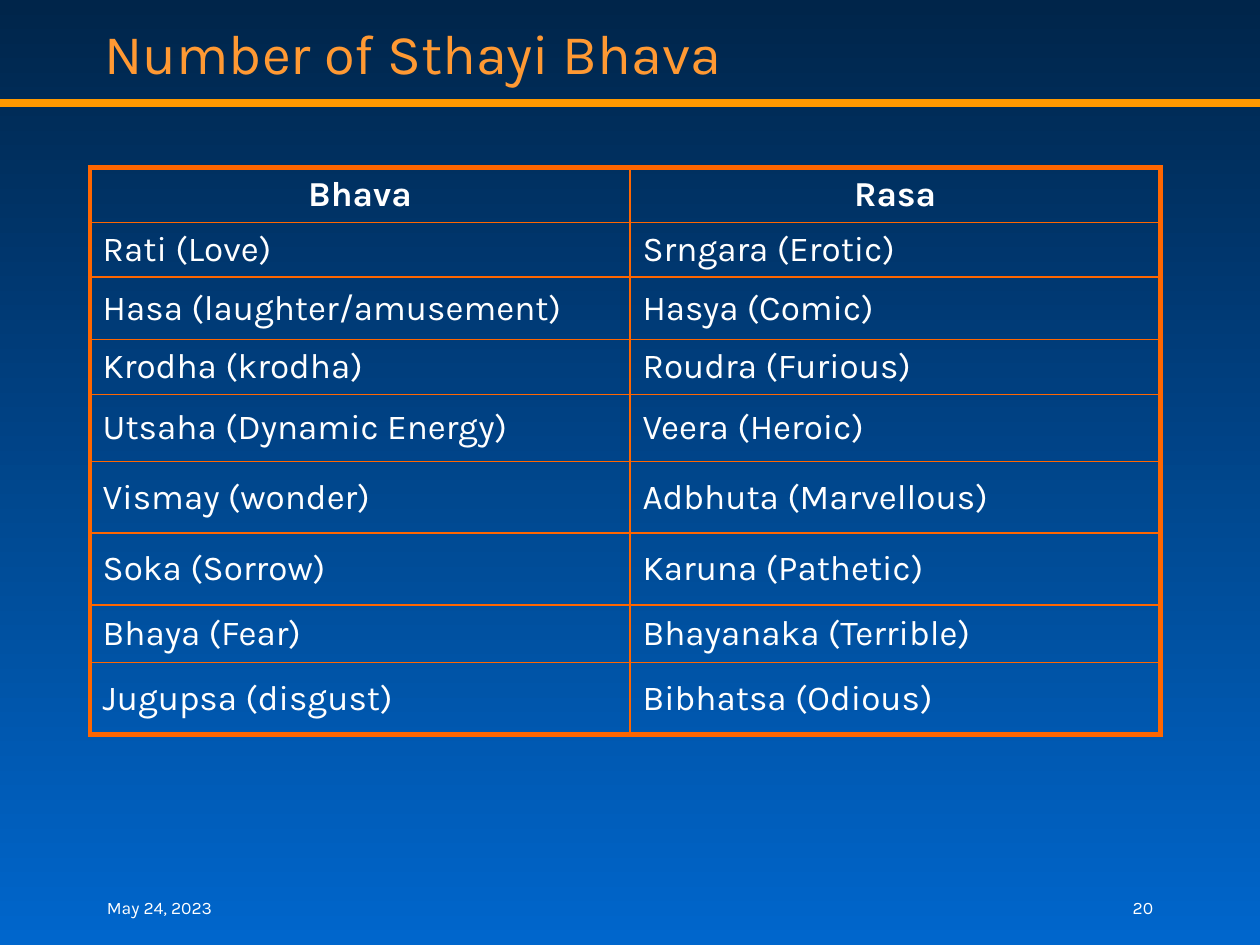
from dataclasses import dataclass

from lxml import etree
from pptx import Presentation, util as u
from pptx.dml.color import RGBColor
from pptx.enum import shapes, text
from pptx.oxml import ns


@dataclass(frozen=True)
class Theme:
    font: str = "Karla"
    top: str = "00254A"
    bottom: str = "0066CC"
    title: str = "FF9933"
    rule: str = "FF9900"
    border: str = "FF6600"
    body: str = "FFFFFF"
    title_size: int = 32
    table_size: int = 20
    footer_size: int = 10
    rule_width: float = 4.5
    outer_width: int = 3
    inner_width: int = 1


def write(frame, words, *, font, size, color, bold=False,
          align=text.PP_ALIGN.LEFT):
    """Put one formatted paragraph into a text frame."""
    frame.word_wrap = True
    paragraph = frame.paragraphs[0]
    paragraph.alignment = align
    run = paragraph.add_run()
    run.text = words
    run.font.name = font
    run.font.size = u.Pt(size)
    run.font.bold = bold
    run.font.color.rgb = RGBColor.from_string(color)


class SlideBuilder:
    """Holds the theme and slide; lengths are percentages of the slide."""

    def __init__(self, presentation, theme):
        self.theme = theme
        self.width = presentation.slide_width
        self.height = presentation.slide_height
        self.slide = presentation.slides.add_slide(presentation.slide_layouts[6])

    def x(self, share):
        return round(self.width * share / 100)

    def y(self, share):
        return round(self.height * share / 100)

    def background(self):
        fill = self.slide.background.fill
        fill.gradient()
        fill.gradient_angle = 270
        colors = (self.theme.top, self.theme.bottom)
        for position, (stop, color) in enumerate(zip(fill.gradient_stops, colors)):
            stop.position = position
            stop.color.rgb = RGBColor.from_string(color)

    def rule(self, top):
        line = self.slide.shapes.add_connector(
            shapes.MSO_CONNECTOR.STRAIGHT, 0, self.y(top), self.width, self.y(top))
        line.line.color.rgb = RGBColor.from_string(self.theme.rule)
        line.line.width = u.Pt(self.theme.rule_width)
        etree.SubElement(line._element.spPr, ns.qn("a:effectLst"))

    def label(self, words, left, top, width, height, anchor, **style):
        box = self.slide.shapes.add_textbox(
            self.x(left), self.y(top), self.x(width), self.y(height))
        box.text_frame.vertical_anchor = anchor
        write(box.text_frame, words, font=self.theme.font, **style)

    def border(self, cell, widths):
        """Draw the left, right, top and bottom edges of a cell."""
        properties = cell._tc.get_or_add_tcPr()
        for index, (side, width) in enumerate(zip("LRTB", widths)):
            edge = etree.Element(ns.qn(f"a:ln{side}"), w=str(u.Pt(width)))
            fill = etree.SubElement(edge, ns.qn("a:solidFill"))
            etree.SubElement(fill, ns.qn("a:srgbClr"), val=self.theme.border)
            properties.insert(index, edge)

    def table(self, rows, left, top, column_widths, row_heights):
        theme = self.theme
        table = self.slide.shapes.add_table(
            len(rows), len(column_widths), self.x(left), self.y(top),
            self.x(sum(column_widths)), self.y(sum(row_heights))).table
        table.first_row = table.horz_banding = False
        for column, width in zip(table.columns, column_widths):
            column.width = self.x(width)
        for row, height in zip(table.rows, row_heights):
            row.height = self.y(height)

        last_row, last_column = len(rows) - 1, len(column_widths) - 1
        for i, row in enumerate(rows):
            for j, words in enumerate(row):
                cell = table.cell(i, j)
                cell.fill.background()
                cell.vertical_anchor = text.MSO_ANCHOR.MIDDLE
                outer = (j == 0, j == last_column, i == 0, i == last_row)
                self.border(cell, [theme.outer_width if edge else theme.inner_width
                                   for edge in outer])
                header = i == 0
                write(cell.text_frame, words, font=theme.font,
                      size=theme.table_size, color=theme.body, bold=header,
                      align=text.PP_ALIGN.CENTER if header else text.PP_ALIGN.LEFT)


ROWS = [
    ("Bhava", "Rasa"),
    ("Rati (Love)", "Srngara (Erotic)"),
    ("Hasa (laughter/amusement)", "Hasya (Comic)"),
    ("Krodha (krodha)", "Roudra (Furious)"),
    ("Utsaha (Dynamic Energy)", "Veera (Heroic)"),
    ("Vismay (wonder)", "Adbhuta (Marvellous)"),
    ("Soka (Sorrow)", "Karuna (Pathetic)"),
    ("Bhaya (Fear)", "Bhayanaka (Terrible)"),
    ("Jugupsa (disgust)", "Bibhatsa (Odious)"),
]
ROW_HEIGHTS = [5.65, 5.65, 6.63, 5.65, 7.1, 7.6, 7.6, 6.1, 7.6]


def main():
    presentation = Presentation()
    presentation.slide_width = u.Inches(10)
    presentation.slide_height = u.Inches(7.5)
    theme = Theme()
    builder = SlideBuilder(presentation, theme)

    # Background and title band
    builder.background()
    builder.rule(10.93)
    builder.label("Number of Sthayi Bhava", 7.3, 1.07, 85, 8.93,
                  text.MSO_ANCHOR.MIDDLE, size=theme.title_size, color=theme.title)

    # Bhava and rasa pairs
    builder.table(ROWS, 7.15, 17.75, [42.85, 42.1], ROW_HEIGHTS)

    # Footer
    footer = (("May 24, 2023", 7.5, text.PP_ALIGN.LEFT),
              ("20", 71.7, text.PP_ALIGN.RIGHT))
    for words, left, align in footer:
        builder.label(words, left, 91.1, 20.8, 6.67, text.MSO_ANCHOR.BOTTOM,
                      size=theme.footer_size, color=theme.body, align=align)

    presentation.save("out.pptx")


if __name__ == "__main__":
    main()
